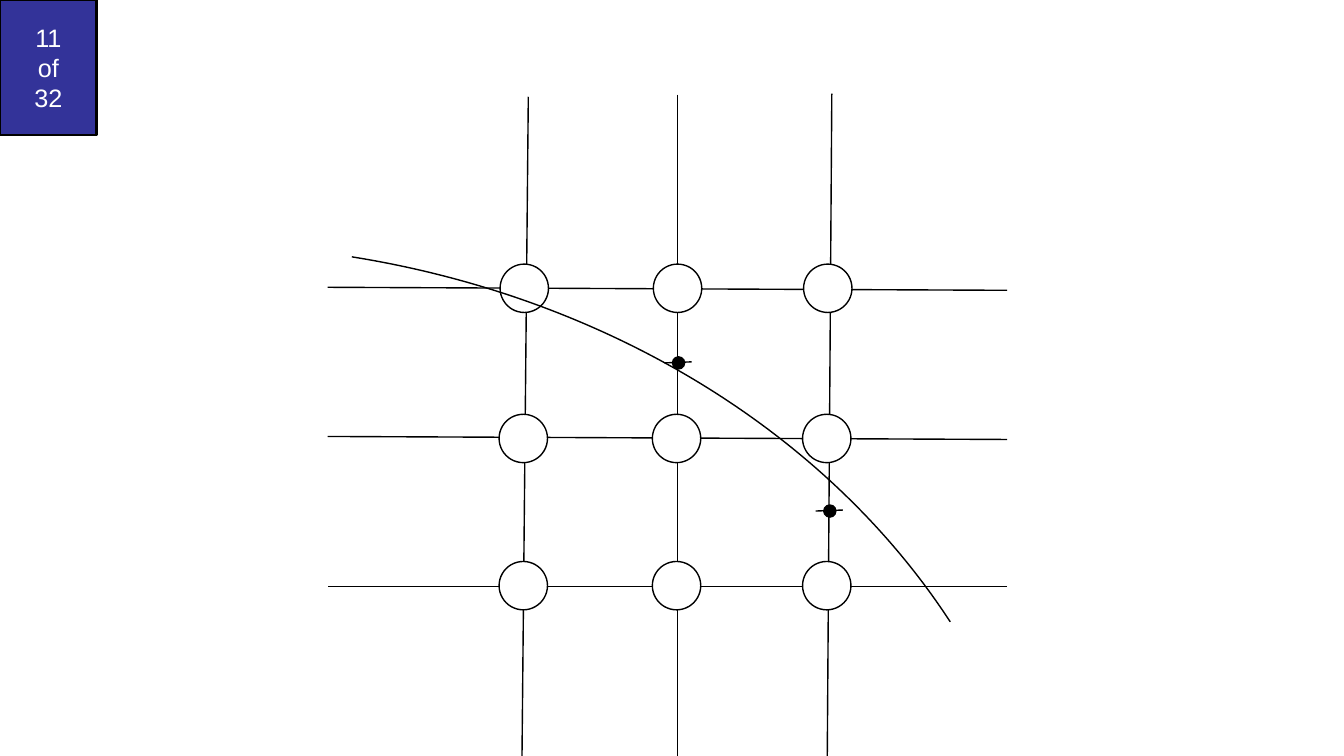
"""Build a slide with a sampling grid crossed by a curve."""
from lxml import etree
from pptx import Presentation
from pptx.dml.color import RGBColor
from pptx.enum.shapes import MSO_CONNECTOR, MSO_SHAPE
from pptx.enum.text import MSO_ANCHOR, PP_ALIGN
from pptx.oxml.ns import qn
from pptx.util import Inches, Pt

STRAIGHT = MSO_CONNECTOR.STRAIGHT
RECTANGLE, OVAL, ARC = MSO_SHAPE.RECTANGLE, MSO_SHAPE.OVAL, MSO_SHAPE.ARC
MIDDLE, CENTER = MSO_ANCHOR.MIDDLE, PP_ALIGN.CENTER

BLACK = RGBColor(0x00, 0x00, 0x00)
WHITE = RGBColor(0xFF, 0xFF, 0xFF)
INDIGO = RGBColor(0x33, 0x33, 0x99)

NODE_SIZE = 0.48
DOT_SIZE = 0.12
NODE_COLUMNS = (1.7, 3.22, 4.71)
NODE_ROWS = (1.69, 3.18, 4.64)
ROW_LINE_ENDS = ((1.92, 1.95), (3.4, 3.43), (4.89, 4.89))
COLUMN_LINE_ENDS = ((1.99, 0.03, 1.92), (3.47, 0.01, 3.47), (5, 0, 4.95))
CURVE_BOX = (-9.98, 1.49, 17.2, 14.36)
CURVE_ANGLES = (282.94, 335.58)
ADJUSTMENT_PER_DEGREE = 0.6
CROSSINGS = ((3.48, 2.67), (4.98, 4.14))


def add_line(shapes, start, end):
    """Draw a thin black line without shadow."""
    line = shapes.add_connector(STRAIGHT, *map(Inches, start + end))
    line.line.color.rgb = BLACK
    line.line.width = Pt(1)
    etree.SubElement(line._element.spPr, qn("a:effectLst"))


def add_outlined(shapes, kind, box, fill=None, line_width=1):
    """Add a black-outlined preset shape, hollow when no fill is given."""
    shape = shapes.add_shape(kind, *map(Inches, box))
    shape.shadow.inherit = False
    if fill is None:
        shape.fill.background()
    else:
        shape.fill.solid()
        shape.fill.fore_color.rgb = fill
    shape.line.color.rgb = BLACK
    shape.line.width = Pt(line_width)
    return shape


def add_page_counter(slide, box):
    """Add the coloured page counter."""
    counter = add_outlined(slide.shapes, RECTANGLE, box, INDIGO, 2)
    frame = counter.text_frame
    frame.vertical_anchor = MIDDLE
    frame.word_wrap = True
    paragraph = frame.paragraphs[0]
    paragraph.text = "11\vof\v32"
    paragraph.alignment = CENTER
    paragraph.font.name = "Arial"
    paragraph.font.size = Pt(18)
    paragraph.font.color.rgb = WHITE


def add_crossing(shapes, x, y):
    """Mark a curve crossing with a short tick and a dot."""
    add_line(shapes, (x - 0.14, y), (x + 0.13, y - 0.01))
    corner = (x - DOT_SIZE / 2, y - DOT_SIZE / 2)
    add_outlined(shapes, OVAL, corner + (DOT_SIZE, DOT_SIZE), BLACK)


def add_grid_diagram(slide, box):
    """Draw grid lines, nodes, the curve and its marked crossings."""
    left, top, width, height = box
    shapes = slide.shapes.add_group_shape().shapes
    for left_y, right_y in ROW_LINE_ENDS:
        add_line(shapes, (left + width, top + right_y), (left, top + left_y))
    for upper_x, upper_y, lower_x in COLUMN_LINE_ENDS:
        add_line(shapes, (left + upper_x, top + upper_y),
                 (left + lower_x, top + height))
    for row, y in enumerate(NODE_ROWS):
        shift = 0.01 if row == 0 else 0
        for x in NODE_COLUMNS:
            node_box = (left + x + shift, top + y, NODE_SIZE, NODE_SIZE)
            add_outlined(shapes, OVAL, node_box, WHITE)
    x, y, curve_width, curve_height = CURVE_BOX
    curve = add_outlined(shapes, ARC, (left + x, top + y, curve_width, curve_height))
    for index, angle in enumerate(CURVE_ANGLES):
        curve.adjustments[index] = angle * ADJUSTMENT_PER_DEGREE
    for x, y in CROSSINGS:
        add_crossing(shapes, left + x, top + y)


def main():
    """Create and save the presentation."""
    presentation = Presentation()
    presentation.slide_width = Inches(13.33)
    presentation.slide_height = Inches(7.5)
    slide = presentation.slides.add_slide(presentation.slide_layouts[6])
    add_page_counter(slide, (0, 0, 0.96, 1.34))
    add_grid_diagram(slide, (3.25, 0.93, 6.74, 7.36))
    presentation.save("out.pptx")


if __name__ == "__main__":
    main()
